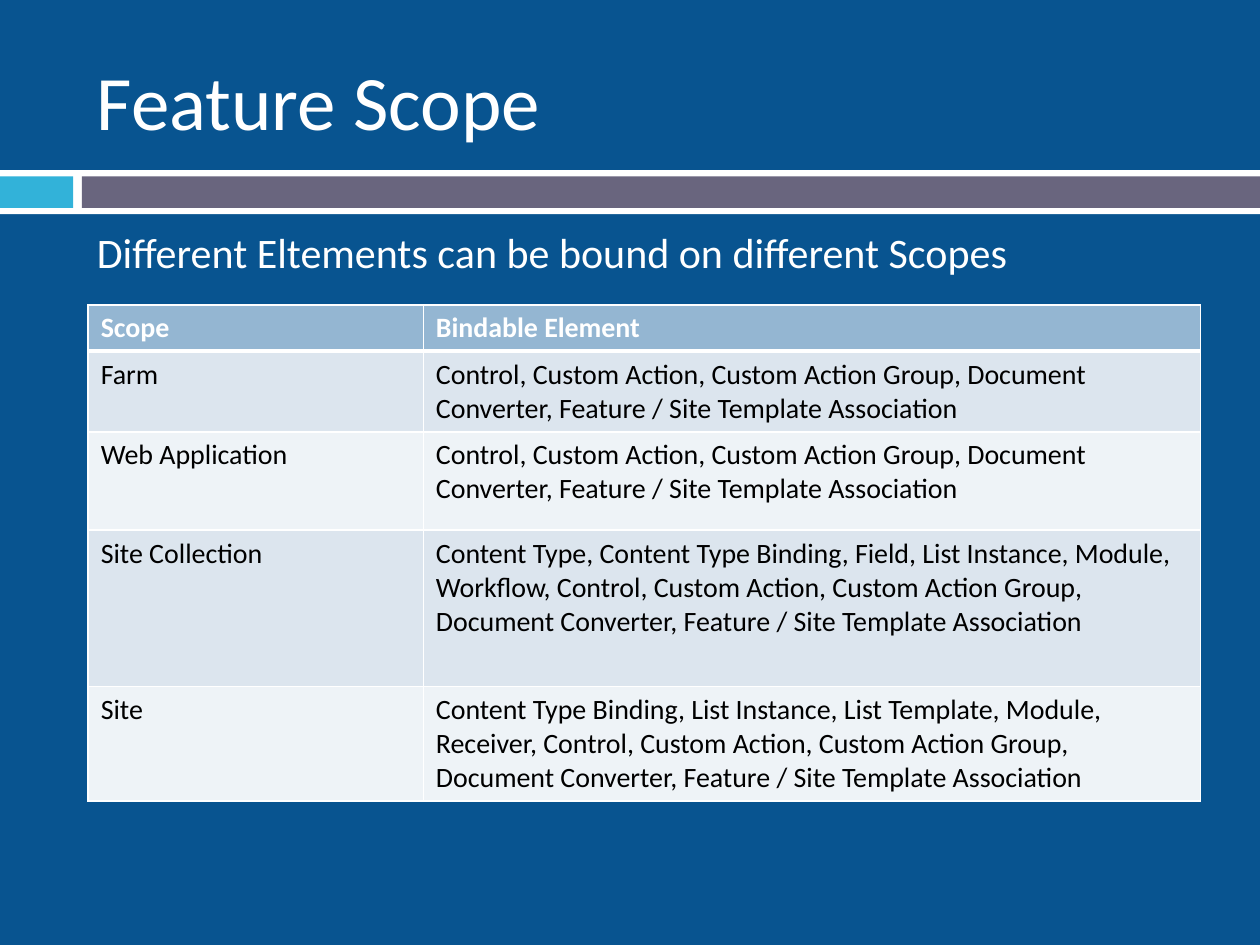
from lxml.etree import SubElement
from pptx import Presentation
from pptx.dml.color import RGBColor
from pptx.enum.shapes import MSO_SHAPE
from pptx.enum.text import MSO_ANCHOR
from pptx.oxml.ns import qn
from pptx.util import Inches, Pt

WIDTH, HEIGHT = 10, 7.5
FONT = "Calibri"
WHITE, BLACK, BACKGROUND = "FFFFFF", "000000", "085490"
HEADER_FILL, BAND_FILLS = "94B6D2", ("DCE5EE", "EEF3F7")

TITLE = "Feature Scope"
LEAD = "Different Eltements can be bound on different Scopes"
COMMON = "Control, Custom Action, Custom Action Group, Document Converter, Feature / Site Template Association"
SCOPES = [
    ("Scope", "Bindable Element"),
    ("Farm", COMMON),
    ("Web Application", COMMON),
    ("Site Collection", "Content Type, Content Type Binding, Field, List Instance, Module, Workflow, " + COMMON),
    ("Site", "Content Type Binding, List Instance, List Template, Module, Receiver, " + COMMON),
]
COLUMN_WIDTHS = (2.66, 6.17)
ROW_HEIGHTS = (0.36, 0.64, 0.78, 1.24, 0.91)
TABLE_LEFT, TABLE_TOP = 0.7, 2.42
TEXT_LEFT, TEXT_WIDTH = 0.67, 8.92

BAND_TOP, BAND_HEIGHT, BAND_MARGIN = 1.35, 0.35, 0.05
BAND_PARTS = [(0, 0.58, "32B2D9"), (0.65, WIDTH - 0.65, "69657E")]


def color(value):
    """Turn a hex string into a colour."""
    return RGBColor.from_string(value)


def write(frame, text, size, ink=WHITE, bold=False):
    """Put one formatted paragraph into a text frame."""
    frame.word_wrap = True
    span = frame.paragraphs[0].add_run()
    span.text = text
    span.font.name, span.font.size, span.font.bold = FONT, Pt(size), bold
    span.font.color.rgb = color(ink)


def add_text(page, text, size, top, height, anchor=MSO_ANCHOR.TOP):
    """Add a text box in the main text column."""
    box = page.shapes.add_textbox(*map(Inches, (TEXT_LEFT, top, TEXT_WIDTH, height)))
    box.text_frame.vertical_anchor = anchor
    write(box.text_frame, text, size)


def add_bar(page, left, top, width, height, fill):
    """Add a plain filled rectangle."""
    bar = page.shapes.add_shape(MSO_SHAPE.RECTANGLE, *map(Inches, (left, top, width, height)))
    bar.shadow.inherit = False
    bar.fill.solid()
    bar.fill.fore_color.rgb = color(fill)
    bar.line.fill.background()


def set_borders(cell, widths):
    """Draw white cell borders with the given widths by side, put before the fill."""
    properties = cell._tc.get_or_add_tcPr()
    for position, (side, width) in enumerate(widths.items()):
        line = SubElement(properties, qn(f"a:ln{side}"), w=str(Pt(width)))
        SubElement(SubElement(line, qn("a:solidFill")), qn("a:srgbClr"), val=WHITE)
        properties.insert(position, line)


def add_scope_table(page):
    """Add the table of scopes and their bindable elements."""
    size = sum(COLUMN_WIDTHS), sum(ROW_HEIGHTS)
    table = page.shapes.add_table(
        len(SCOPES), len(COLUMN_WIDTHS), *map(Inches, (TABLE_LEFT, TABLE_TOP, *size))
    ).table
    for column, width in zip(table.columns, COLUMN_WIDTHS):
        column.width = Inches(width)
    for index, (row, height, texts) in enumerate(zip(table.rows, ROW_HEIGHTS, SCOPES)):
        row.height = Inches(height)
        header = index == 0
        for cell, text in zip(row.cells, texts):
            cell.fill.solid()
            cell.fill.fore_color.rgb = color(HEADER_FILL if header else BAND_FILLS[(index - 1) % 2])
            set_borders(cell, {"L": 1, "R": 1, "T": 3 if index == 1 else 1, "B": 3 if header else 1})
            write(cell.text_frame, text, 16, ink=WHITE if header else BLACK, bold=header)


def main():
    """Build the slide and save it."""
    deck = Presentation()
    deck.slide_width, deck.slide_height = Inches(WIDTH), Inches(HEIGHT)
    page = deck.slides.add_slide(deck.slide_layouts[6])
    page.background.fill.solid()
    page.background.fill.fore_color.rgb = color(BACKGROUND)
    add_bar(page, 0, BAND_TOP, WIDTH, BAND_HEIGHT, WHITE)
    for left, width, fill in BAND_PARTS:
        add_bar(page, left, BAND_TOP + BAND_MARGIN, width, BAND_HEIGHT - 2 * BAND_MARGIN, fill)
    add_text(page, TITLE, 44, 0.25, 1.08, MSO_ANCHOR.MIDDLE)
    add_text(page, LEAD, 24, 1.75, 4.92)
    add_scope_table(page)
    deck.save("out.pptx")


if __name__ == "__main__":
    main()
